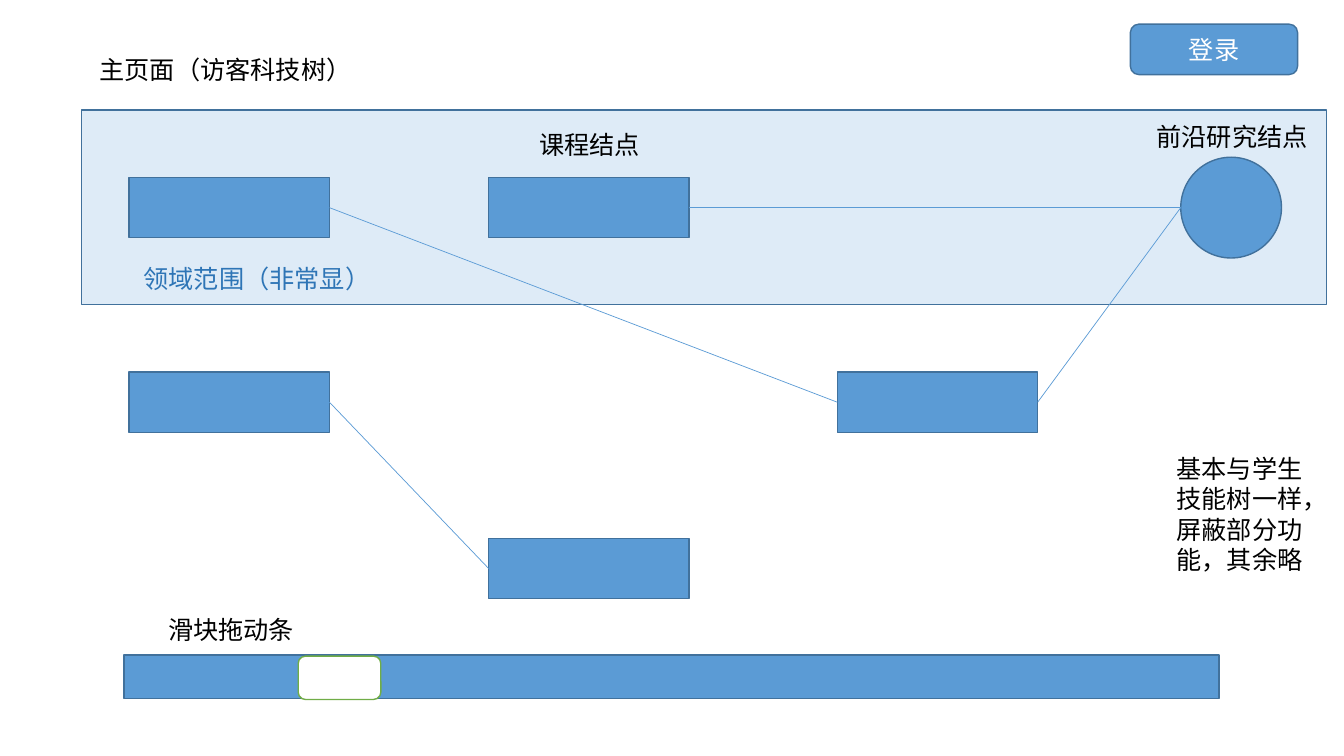
from pptx import Presentation
from pptx.dml.color import RGBColor
from pptx.enum import shapes, text
from pptx.oxml.ns import qn
from pptx.util import Inches, Pt

BLUE, EDGE, BLACK, WHITE = "5B9BD5", "41719C", "000000", "FFFFFF"
KIND, ALIGN = shapes.MSO_SHAPE, text.PP_ALIGN


def color(value):
    return RGBColor.from_string(value)


def block(kind, left, top, width, height, fill=BLUE, edge=EDGE):
    shape = slide.shapes.add_shape(kind, *map(Inches, (left, top, width, height)))
    shape.shadow.inherit = False
    shape.fill.solid()
    shape.fill.fore_color.rgb = color(fill)
    shape.line.color.rgb = color(edge)
    shape.line.width = Pt(1)
    return shape


deck = Presentation()
deck.slide_width, deck.slide_height = Inches(13.34), Inches(7.5)
slide = deck.slides.add_slide(deck.slide_layouts[6])

block(KIND.RECTANGLE, 0.81, 1.09, 12.36, 1.93, fill="DEEBF7")

columns, rows = (1.28, 4.85, 8.31), (1.76, 3.69, 5.34)
courses = {
    (column, row): block(KIND.RECTANGLE, columns[column], rows[row], 1.99, 0.6)
    for column, row in ((0, 0), (1, 2), (0, 1), (1, 0), (2, 1))
}
block(KIND.OVAL, 11.72, 1.56, 1, 1)

frontier_left = Inches(11.72), Inches(2.06)
for source, target in (
    ((0, 0), (2, 1)),
    ((0, 1), (1, 2)),
    ((1, 0), None),
    ((2, 1), None),
):
    link = slide.shapes.add_connector(
        shapes.MSO_CONNECTOR.STRAIGHT, *frontier_left, *frontier_left
    )
    link.begin_connect(courses[source], 3)
    if target:
        link.end_connect(courses[target], 1)
    link.line.color.rgb = color(BLUE)
    link.line.width = Pt(0.5)
    link._element.spPr.append(link._element.makeelement(qn("a:effectLst"), {}))

block(KIND.ROUNDED_RECTANGLE, 11.22, 0.24, 1.66, 0.5)
block(KIND.RECTANGLE, 1.23, 6.5, 10.87, 0.43)
block(KIND.ROUNDED_RECTANGLE, 2.96, 6.51, 0.82, 0.43, fill=WHITE, edge="70AD47")

for words, left, top, width, height, align, ink in (
    ("主页面（访客科技树）", 0.89, 0.49, 3.24, 0.4, ALIGN.LEFT, BLACK),
    ("课程结点", 5.09, 1.23, 1.52, 0.4, ALIGN.CENTER, BLACK),
    ("前沿研究结点", 11.3, 1.15, 1.86, 0.4, ALIGN.CENTER, BLACK),
    ("领域范围（非常显）", 0.98, 2.56, 3.14, 0.4, ALIGN.CENTER, "2E75B6"),
    ("登录", 11.41, 0.29, 1.28, 0.4, ALIGN.CENTER, WHITE),
    ("滑块拖动条", 1.21, 6.05, 2.17, 0.4, ALIGN.CENTER, BLACK),
    ("基本与学生技能树一样，屏蔽部分功能，其余略", 11.58, 4.45, 1.49, 1.3, ALIGN.LEFT, BLACK),
):
    label = slide.shapes.add_textbox(*map(Inches, (left, top, width, height)))
    label.text_frame.word_wrap = True
    paragraph = label.text_frame.paragraphs[0]
    paragraph.alignment = align
    run = paragraph.add_run()
    run.text = words
    for attribute, value in {"name": "Calibri", "size": Pt(18)}.items():
        setattr(run.font, attribute, value)
    run.font.color.rgb = color(ink)

deck.save("out.pptx")
